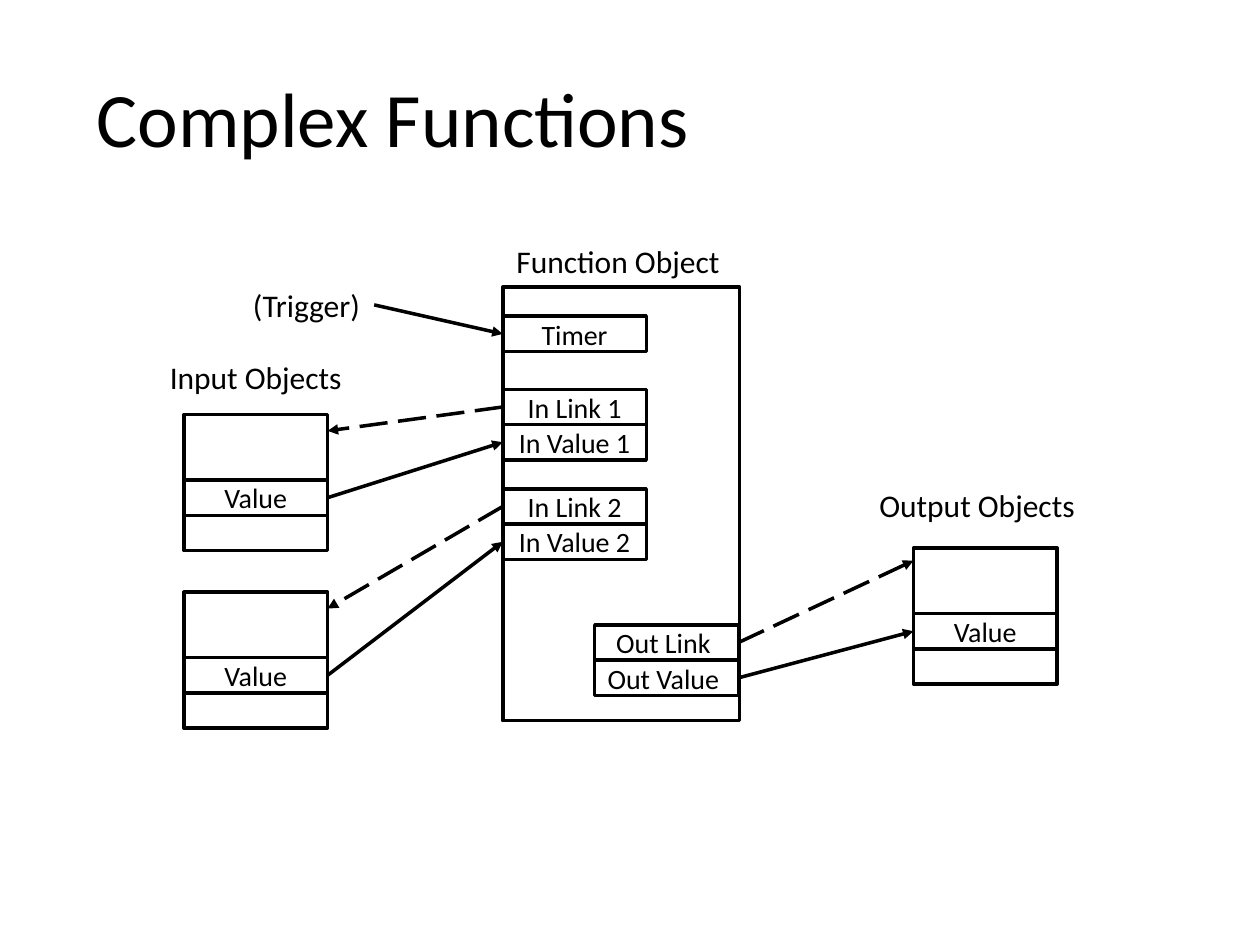
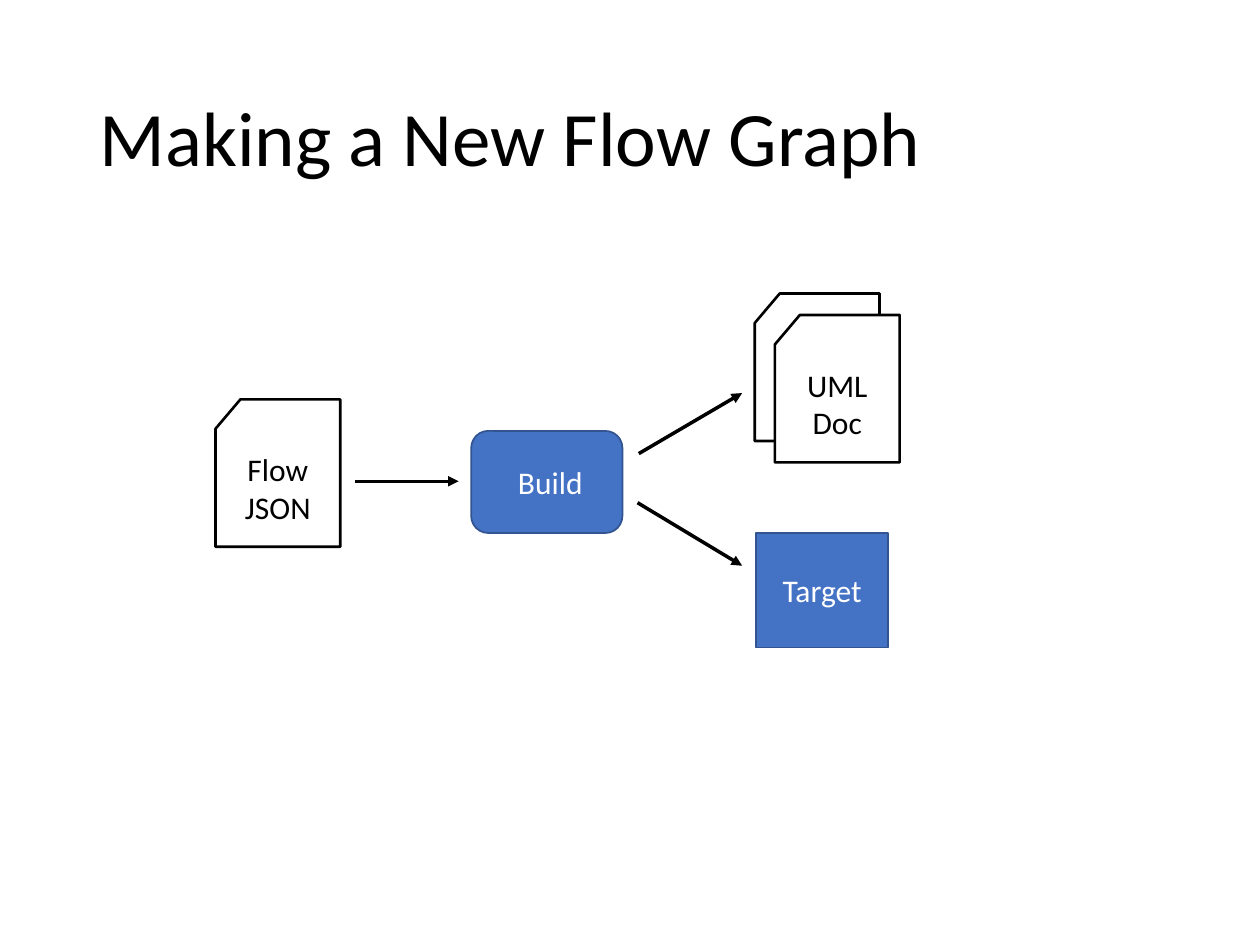
from dataclasses import dataclass
from typing import Any, Optional

import pptx
import pptx.dml.color
import pptx.enum.dml
import pptx.enum.shapes
import pptx.enum.text
import pptx.oxml
import pptx.oxml.ns
import pptx.util

Inches = pptx.util.Inches
Pt = pptx.util.Pt
Shapes = pptx.enum.shapes.MSO_SHAPE
Align = pptx.enum.text.PP_ALIGN
Anchor = pptx.enum.text.MSO_ANCHOR
Dash = pptx.enum.dml.MSO_LINE


@dataclass(frozen=True)
class Theme:
    font: str = "Calibri"
    ink: str = "000000"
    paper: str = "FFFFFF"
    accent: str = "4472C4"
    accent_edge: str = "325491"
    title_size: float = 44
    label_size: float = 18
    row_size: float = 16
    rule: float = 2
    card_rule: float = 1.5
    accent_rule: float = 1


THEME = Theme()


@dataclass(frozen=True)
class Style:
    fill: Optional[str]
    edge: str
    weight: float
    color: str
    size: float


ROW = Style(None, THEME.ink, THEME.rule, THEME.ink, THEME.row_size)
CARD = Style(THEME.paper, THEME.ink, THEME.card_rule, THEME.ink, THEME.label_size)
ACCENT = Style(THEME.accent, THEME.accent_edge, THEME.accent_rule, THEME.paper, THEME.label_size)


@dataclass(frozen=True)
class Box:
    left: float
    top: float
    width: float
    height: float
    text: str = ""
    style: Style = ROW
    kind: Any = Shapes.RECTANGLE

    @property
    def right(self) -> float:
        return self.left + self.width

    @property
    def middle(self) -> float:
        return self.top + self.height / 2


@dataclass(frozen=True)
class Arrow:
    start: tuple[float, float]
    end: tuple[float, float]
    dashed: bool = False


@dataclass(frozen=True)
class Label:
    left: float
    top: float
    width: float
    text: str
    align: Any = Align.CENTER


def rgb(value: str) -> pptx.dml.color.RGBColor:
    return pptx.dml.color.RGBColor.from_string(value)


def apply(target: Any, values: dict[str, Any]) -> None:
    for name, value in values.items():
        setattr(target, name, value)


def write(frame: Any, text: str, size: float, color: str, align: Any,
          spacing: float = 1.0) -> None:
    paragraph = frame.paragraphs[0]
    apply(paragraph, {"alignment": align, "line_spacing": spacing})
    run = paragraph.add_run()
    run.text = text
    apply(run.font, {"name": THEME.font, "size": Pt(size)})
    run.font.color.rgb = rgb(color)


def draw_title(slide: Any, text: str, left: float, top: float) -> None:
    frame = slide.shapes.add_textbox(
        Inches(left), Inches(top), Inches(8.62), Inches(1.45)).text_frame
    apply(frame, {"word_wrap": True, "vertical_anchor": Anchor.MIDDLE})
    write(frame, text, THEME.title_size, THEME.ink, Align.LEFT, 0.9)


def draw_label(slide: Any, label: Label) -> None:
    frame = slide.shapes.add_textbox(
        Inches(label.left), Inches(label.top), Inches(label.width), Inches(0.4)).text_frame
    frame.word_wrap = False
    write(frame, label.text, THEME.label_size, THEME.ink, label.align)


def draw_box(slide: Any, box: Box) -> None:
    shape = slide.shapes.add_shape(
        box.kind, Inches(box.left), Inches(box.top), Inches(box.width), Inches(box.height))
    shape.shadow.inherit = False
    if box.style.fill:
        shape.fill.solid()
        shape.fill.fore_color.rgb = rgb(box.style.fill)
    else:
        shape.fill.background()
    shape.line.color.rgb = rgb(box.style.edge)
    shape.line.width = Pt(box.style.weight)
    if box.text:
        apply(shape.text_frame, {"word_wrap": True, "vertical_anchor": Anchor.MIDDLE})
        write(shape.text_frame, box.text, box.style.size, box.style.color, Align.CENTER)


def draw_arrow(slide: Any, arrow: Arrow) -> None:
    points = [Inches(value) for value in (*arrow.start, *arrow.end)]
    connector = slide.shapes.add_connector(pptx.enum.shapes.MSO_CONNECTOR.STRAIGHT, *points)
    connector.line.color.rgb = rgb(THEME.ink)
    connector.line.width = Pt(THEME.rule)
    if arrow.dashed:
        connector.line.dash_style = Dash.LONG_DASH
    namespace = pptx.oxml.ns.nsdecls("a")
    connector.line._get_or_add_ln().append(
        pptx.oxml.parse_xml(f'<a:tailEnd {namespace} type="triangle"/>'))
    connector._element.spPr.append(pptx.oxml.parse_xml(f"<a:effectLst {namespace}/>"))


ROW_WIDTH, ROW_HEIGHT = 1.14, 0.28


def field(left: float, top: float, text: str) -> Box:
    return Box(left, top, ROW_WIDTH, ROW_HEIGHT, text)


def record(left: float, top: float) -> tuple[Box, Box]:
    return Box(left, top, ROW_WIDTH, 1.08), field(left, top + 0.52, "Value")


def link_pair(left: float, top: float, link: str, value: str) -> tuple[Box, Box]:
    return field(left, top, link), field(left, top + ROW_HEIGHT, value)


def build_functions_slide(slide: Any) -> None:
    draw_title(slide, "Complex Functions", 0.67, 0.25)
    function = Box(3.99, 2.28, 1.88, 3.44)
    timer = field(function.left, 2.51, "Timer")
    boxes = [function, timer]
    arrows = [Arrow((2.97, 2.42), (timer.left, timer.middle))]

    for number, (record_top, pair_top) in enumerate([(3.29, 3.09), (4.7, 3.88)], 1):
        source, source_value = record(1.46, record_top)
        link, value = link_pair(
            function.left, pair_top, f"In Link {number}", f"In Value {number}")
        boxes += [source, source_value, link, value]
        arrows += [
            Arrow((link.left, link.middle), (source.right, source.top + 0.13), True),
            Arrow((source_value.right, source_value.middle), (value.left, value.middle)),
        ]

    target, target_value = record(7.25, 4.35)
    link, value = link_pair(function.right - ROW_WIDTH - 0.01, 4.96, "Out Link ", "Out Value ")
    boxes += [target, target_value, link, value]
    arrows += [
        Arrow((link.right, link.middle), (target.left, target.top + 0.1), True),
        Arrow((value.right, value.middle), (target_value.left, target_value.middle)),
    ]

    for box in boxes:
        draw_box(slide, box)
    for arrow in arrows:
        draw_arrow(slide, arrow)
    for label in (
        Label(1.24, 2.79, 1.58, "Input Objects"),
        Label(6.87, 3.81, 1.77, "Output Objects"),
        Label(3.99, 1.87, 1.83, "Function Object"),
        Label(1.91, 2.22, 1.06, "(Trigger)", Align.LEFT),
    ):
        draw_label(slide, label)


def card(left: float, top: float, text: str = "") -> Box:
    return Box(left, top, 0.99, 1.17, text, CARD, Shapes.FLOWCHART_CARD)


def build_flow_slide(slide: Any) -> None:
    draw_title(slide, "Making a New Flow Graph", 0.69, 0.4)
    for box in (
        card(1.71, 3.17, "Flow JSON"),
        Box(3.74, 3.42, 1.2, 0.81, " Build", ACCENT, Shapes.FLOWCHART_ALTERNATE_PROCESS),
        card(5.99, 2.33),
        card(6.15, 2.5, "UML Doc"),
        Box(6, 4.23, 1.05, 0.91, "Target", ACCENT),
    ):
        draw_box(slide, box)
    for arrow in (
        Arrow((2.82, 3.82), (3.64, 3.82)),
        Arrow((5.06, 3.99), (5.89, 4.49)),
        Arrow((5.07, 3.6), (5.89, 3.12)),
    ):
        draw_arrow(slide, arrow)


deck = pptx.Presentation()
apply(deck, {"slide_width": Inches(10), "slide_height": Inches(7.5)})
for build in (build_functions_slide, build_flow_slide):
    build(deck.slides.add_slide(deck.slide_layouts[6]))
deck.save("out.pptx")
